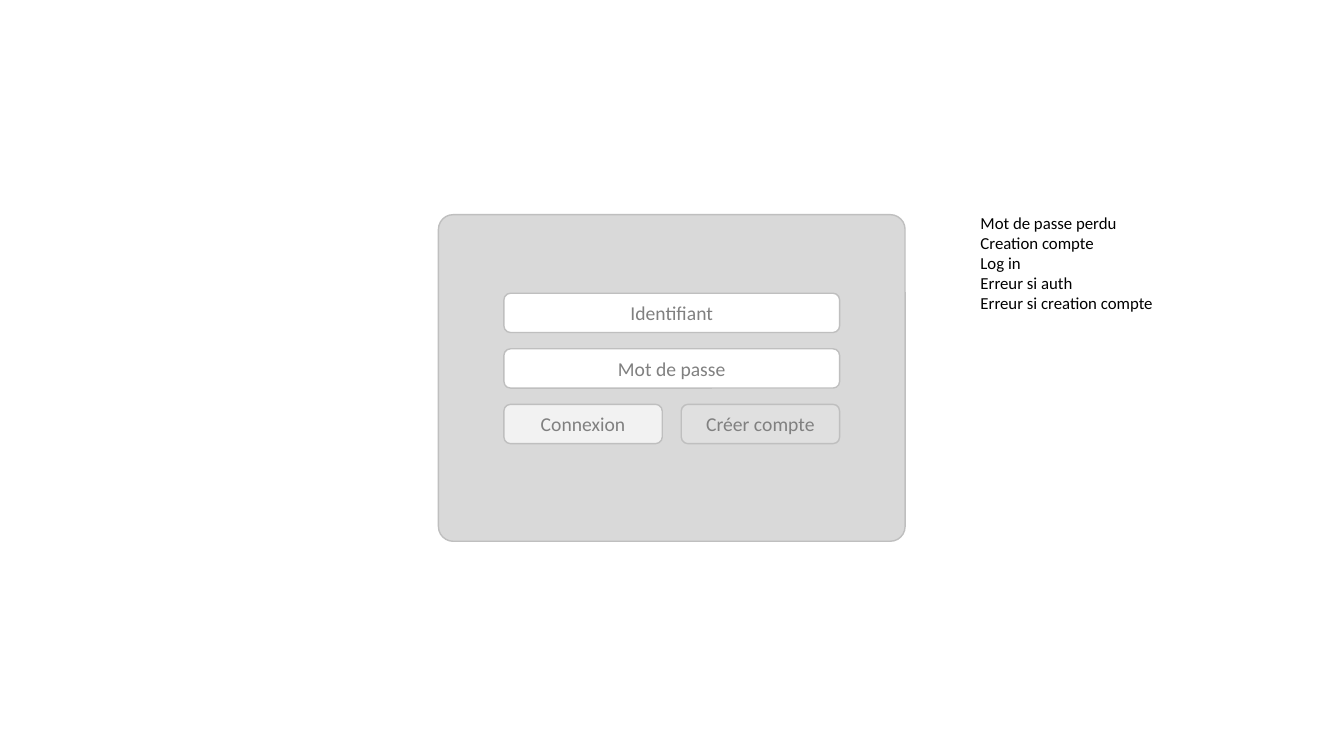
import dataclasses

import pptx
import pptx.dml.color
import pptx.enum.shapes
import pptx.enum.text
import pptx.shapes.autoshape
import pptx.shapes.group
import pptx.slide
import pptx.text.text
import pptx.util

Cm = pptx.util.Cm
Pt = pptx.util.Pt
RGBColor = pptx.dml.color.RGBColor


@dataclasses.dataclass(frozen=True)
class Theme:
    font: str = "Calibri"
    panel: str = "D9D9D9"
    field: str = "FFFFFF"
    primary_button: str = "F2F2F2"
    secondary_button: str = "E0E0E0"
    outline: str = "BFBFBF"
    label: str = "808080"
    note: str = "000000"
    outline_width: float = 1
    label_size: int = 14
    note_size: int = 12


@dataclasses.dataclass(frozen=True)
class Box:
    """A rounded box, measured in centimetres."""

    left: float
    top: float
    width: float
    height: float
    fill: str
    label: str = ""
    corner: float = 0.1667


THEME = Theme()

FORM_LEFT, FORM_TOP, FORM_WIDTH = 12.7, 7.39, 8.46
ROW_HEIGHT, ROW_STEP = 0.99, 1.4
BUTTON_WIDTH = 3.99
BUTTON_TOP = FORM_TOP + 2 * ROW_STEP

PANEL = Box(11.05, 5.41, 11.76, 8.23, THEME.panel, corner=0.045)
FIELDS = [
    Box(FORM_LEFT, FORM_TOP + row * ROW_STEP, FORM_WIDTH, ROW_HEIGHT, THEME.field, label)
    for row, label in enumerate(["Identifiant", "Mot de passe"])
]
BUTTONS = [
    Box(left, BUTTON_TOP, BUTTON_WIDTH, ROW_HEIGHT, fill, label)
    for left, fill, label in [
        (FORM_LEFT, THEME.primary_button, "Connexion"),
        (FORM_LEFT + FORM_WIDTH - BUTTON_WIDTH, THEME.secondary_button, "Créer compte"),
    ]
]
NOTES = [
    "Mot de passe perdu",
    "Creation compte",
    "Log in",
    "Erreur si auth",
    "Erreur si creation compte",
]


def write_paragraph(
    paragraph: pptx.text.text._Paragraph, text: str, size: int, color: str
) -> None:
    run = paragraph.add_run()
    run.text = text
    for name, value in {"name": THEME.font, "size": Pt(size)}.items():
        setattr(run.font, name, value)
    run.font.color.rgb = RGBColor.from_string(color)


def draw_box(group: pptx.shapes.group.GroupShape, box: Box) -> pptx.shapes.autoshape.Shape:
    shape = group.shapes.add_shape(
        pptx.enum.shapes.MSO_SHAPE.ROUNDED_RECTANGLE,
        Cm(box.left), Cm(box.top), Cm(box.width), Cm(box.height),
    )
    shape.adjustments[0] = box.corner
    shape.shadow.inherit = False
    shape.fill.solid()
    shape.fill.fore_color.rgb = RGBColor.from_string(box.fill)
    shape.line.color.rgb = RGBColor.from_string(THEME.outline)
    shape.line.width = Pt(THEME.outline_width)
    if box.label:
        shape.text_frame.vertical_anchor = pptx.enum.text.MSO_ANCHOR.MIDDLE
        paragraph = shape.text_frame.paragraphs[0]
        paragraph.alignment = pptx.enum.text.PP_ALIGN.CENTER
        write_paragraph(paragraph, box.label, THEME.label_size, THEME.label)
    return shape


def draw_notes(slide: pptx.slide.Slide, notes: list[str]) -> None:
    text_box = slide.shapes.add_textbox(Cm(24.46), Cm(5.23), Cm(6.3), Cm(2.82))
    frame = text_box.text_frame
    frame_format = {
        "word_wrap": True,
        "auto_size": pptx.enum.text.MSO_AUTO_SIZE.SHAPE_TO_FIT_TEXT,
    }
    for name, value in frame_format.items():
        setattr(frame, name, value)
    for index, note in enumerate(notes):
        paragraph = frame.add_paragraph() if index else frame.paragraphs[0]
        write_paragraph(paragraph, note, THEME.note_size, THEME.note)


def main() -> None:
    presentation = pptx.Presentation()
    presentation.slide_width = Cm(33.87)
    presentation.slide_height = Cm(19.05)
    slide = presentation.slides.add_slide(presentation.slide_layouts[6])
    login_form = slide.shapes.add_group_shape()
    for box in [PANEL, *FIELDS, *BUTTONS]:
        draw_box(login_form, box)
    draw_notes(slide, NOTES)
    presentation.save("out.pptx")


if __name__ == "__main__":
    main()
